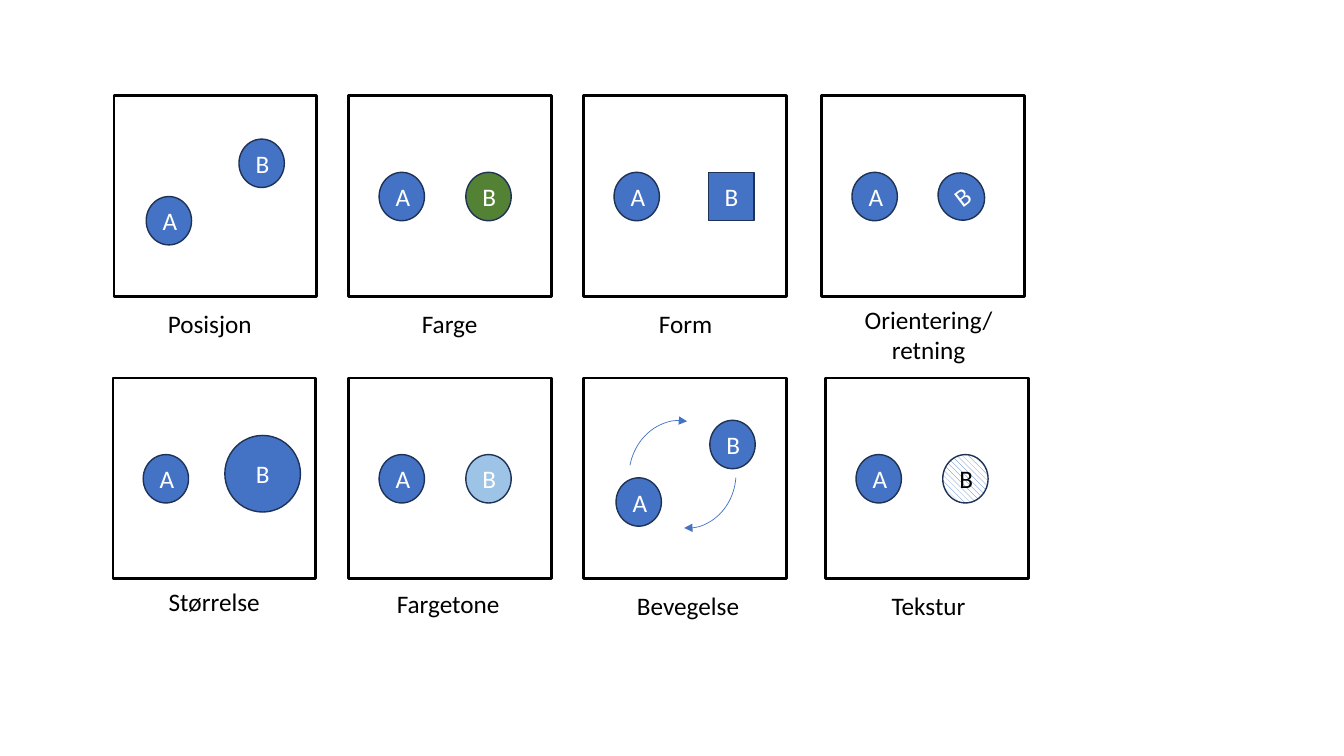
from lxml import etree
from pptx import Presentation
from pptx.dml.color import RGBColor
from pptx.enum.dml import MSO_PATTERN
from pptx.enum.shapes import MSO_SHAPE as SHAPE
from pptx.enum.text import MSO_ANCHOR as ANCHOR, MSO_AUTO_SIZE as AUTO, PP_ALIGN as ALIGN
from pptx.oxml.ns import qn
from pptx.util import Inches, Pt

COLORS = {"black": "000000", "white": "FFFFFF", "blue": "4472C4", "navy": "1E3256",
          "green": "548235", "light": "9DC3E6"}


def rgb(name):
    return RGBColor.from_string(COLORS[name])


def add_item(box, text="", kind=SHAPE.OVAL, fill=None, line=None, weight=1,
             color="white", rotation=0):
    box = [Inches(v) for v in box]
    if kind is None:
        sp = s.shapes.add_textbox(*box)
    else:
        sp = s.shapes.add_shape(kind, *box)
        sp.shadow.inherit = False
        sp.rotation = rotation
        sp.line.color.rgb = rgb(line)
        sp.line.width = Pt(weight)
        if fill == "hatch":
            sp.fill.patterned()
            sp.fill.pattern = MSO_PATTERN.WIDE_DOWNWARD_DIAGONAL
            sp.fill.fore_color.rgb = rgb("blue")
            sp.fill.back_color.rgb = rgb("white")
        elif fill:
            sp.fill.solid()
            sp.fill.fore_color.rgb = rgb(fill)
        else:
            sp.fill.background()
    if text:
        tf = sp.text_frame
        tf.word_wrap = kind is not None
        if kind is None:
            tf.auto_size = AUTO.SHAPE_TO_FIT_TEXT
        else:
            tf.vertical_anchor = ANCHOR.MIDDLE
        for i, part in enumerate(text.split("\n")):
            p = tf.add_paragraph() if i else tf.paragraphs[0]
            p.alignment = ALIGN.CENTER
            r = p.add_run()
            r.text = part
            r.font.size = Pt(18)
            r.font.name = "Calibri"
            r.font.color.rgb = rgb(color)
    return sp


prs = Presentation()
prs.slide_width, prs.slide_height = Inches(13.33), Inches(7.5)
s = prs.slides.add_slide(prs.slide_layouts[6])

TOP, BOTTOM = 0.95, 3.75
A_POS, B_POS, B_SIZE = (0.3, 0.76), (1.16, 0.76), (0.45, 0.48)
panels = [
    (1.13, TOP, "Posisjon", (1.56, 3.01, 1.04, 0.4),
     {"a": (0.32, 1.0), "b": (1.24, 0.43)}, {}),
    (3.46, TOP, "Farge", (4.08, 3.01, 0.76, 0.4), {}, {"fill": "green"}),
    (5.79, TOP, "Form", (6.43, 3.01, 0.74, 0.4),
     {"b": (1.24, 0.76)}, {"kind": SHAPE.RECTANGLE}),
    (8.15, TOP, "Orientering/\nretning", (8.47, 2.97, 1.48, 0.71), {}, {"rotation": 322.3}),
    (1.12, BOTTOM, "Størrelse", (1.57, 5.77, 1.11, 0.4),
     {"b": (1.11, 0.57), "size": (0.75, 0.76)}, {}),
    (3.46, BOTTOM, "Fargetone", (3.83, 5.79, 1.23, 0.4), {}, {"fill": "light"}),
    (5.79, BOTTOM, "Bevegelse", (6.21, 5.81, 1.23, 0.4),
     {"a": (0.32, 0.99), "b": (1.25, 0.42)}, {}),
    (8.19, BOTTOM, "Tekstur", (8.74, 5.81, 0.94, 0.4), {},
     {"fill": "hatch", "color": "black"}),
]

for x, y, label, label_box, places, b_style in panels:
    add_item((x, y, 2.01, 1.99), kind=SHAPE.RECTANGLE, line="black", weight=2)
    ax, ay = places.get("a", A_POS)
    bx, by = places.get("b", B_POS)
    add_item((x + ax, y + ay, 0.45, 0.48), "A", fill="blue", line="navy")
    add_item((x + bx, y + by, *places.get("size", B_SIZE)), "B",
             **{"fill": "blue", "line": "navy", **b_style})
    add_item(label_box, label, kind=None, color="black")

for x, rotation in [(6.29, 94.2), (6.18, 280.8)]:
    arc = add_item((x, 4.23, 1.07, 0.95), kind=SHAPE.ARC, line="blue", weight=0.5,
                   rotation=rotation)
    ln = arc.line._get_or_add_ln()
    etree.SubElement(ln, qn("a:tailEnd"), type="triangle")

prs.save("out.pptx")
